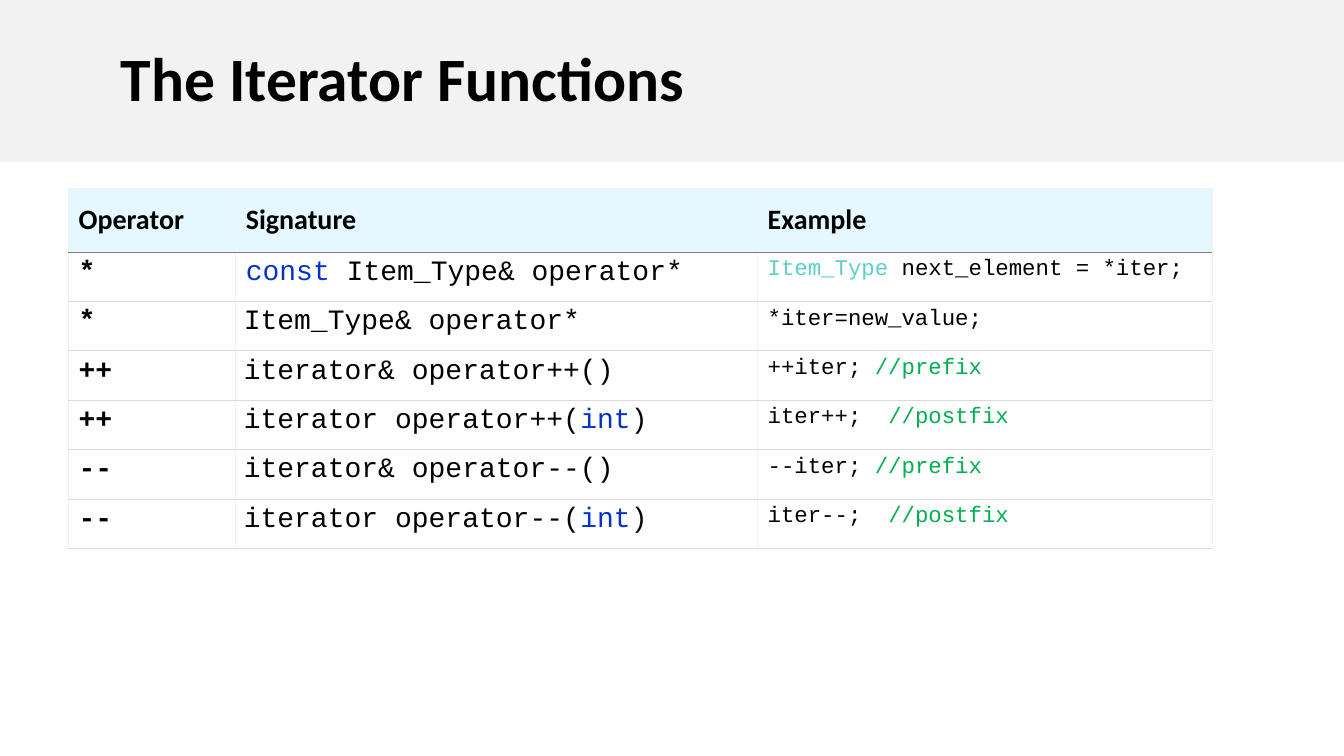
from lxml.etree import SubElement as Sub
from pptx import Presentation as Deck
from pptx.dml.color import RGBColor as RGB
from pptx.enum.shapes import MSO_SHAPE as Kind
from pptx.enum.text import MSO_ANCHOR as Anchor, PP_ALIGN as Align
from pptx.oxml.ns import qn
from pptx.util import Inches, Pt

BLACK = RGB(0, 0, 0)
WHITE = RGB(255, 255, 255)
BLUE = RGB(0x00, 0x33, 0xCC)
TEAL = RGB(0x5C, 0xD0, 0xCD)
GREEN = RGB(0x00, 0xB0, 0x50)
PALE = RGB(0xE5, 0xF8, 0xFF)
MIST = RGB(0xF2, 0xF2, 0xF2)
SILVER = RGB(0xD9, 0xD9, 0xD9)
GRAY = RGB(0x7F, 0x7F, 0x7F)

TITLE = {"name": "Calibri", "size": Pt(44), "bold": True}
HEAD = {"name": "Calibri", "size": Pt(20), "bold": True}
SIGN = {"name": "Courier New", "size": Pt(20), "bold": True}
CODE = {"name": "Courier New", "size": Pt(20), "bold": False}
SAMPLE = {"name": "Courier New", "size": Pt(16), "bold": False}

WIDTHS = (1.66, 5.18, 4.51)
HEADS = ("Operator", "Signature", "Example")
ROWS = (
    ("*", [("const", BLUE), " Item_Type& operator*"],
     [("Item_Type", TEAL), " next_element = *iter;"]),
    ("*", ["Item_Type& operator*"], ["*iter=new_value;"]),
    ("++", ["iterator& operator++()"], ["++iter; ", ("//prefix", GREEN)]),
    ("++", ["iterator operator++(", ("int", BLUE), ")"],
     ["iter++;  ", ("//postfix", GREEN)]),
    ("--", ["iterator& operator--()"], ["--iter; ", ("//prefix", GREEN)]),
    ("--", ["iterator operator--(", ("int", BLUE), ")"],
     ["iter--;  ", ("//postfix", GREEN)]),
)


def write(frame, parts, style):
    para = frame.paragraphs[0]
    para.alignment = Align.LEFT
    for part in parts:
        text, color = part if isinstance(part, tuple) else (part, BLACK)
        run = para.add_run()
        run.text = text
        for key, value in style.items():
            setattr(run.font, key, value)
        run.font.color.rgb = color
    return para


def edge(cell, top, base):
    props = cell._tc.get_or_add_tcPr()
    for side, color in zip("LRTB", (MIST, MIST, top, base)):
        line = Sub(props, qn("a:ln" + side), w=str(Pt(0.45)))
        fill = Sub(line, qn("a:solidFill"))
        Sub(fill, qn("a:srgbClr"), val=str(color))


def fill_cell(cell, parts, style, fill, top, base):
    edge(cell, top, base)
    cell.fill.solid()
    cell.fill.fore_color.rgb = fill
    write(cell.text_frame, parts, style)


def add_title(slide, text):
    band = slide.shapes.add_shape(
        Kind.RECTANGLE, 0, 0, Inches(13.34), Inches(1.61))
    band.shadow.inherit = False
    band.fill.solid()
    band.fill.fore_color.rgb = MIST
    band.line.fill.background()
    frame = band.text_frame
    frame.word_wrap = True
    frame.vertical_anchor = Anchor.MIDDLE
    frame.margin_left = Inches(1.2)
    write(frame, [text], TITLE).line_spacing = 0.9


def add_grid(slide):
    count = len(ROWS) + 1
    grid = slide.shapes.add_table(
        count, len(WIDTHS), Inches(0.68), Inches(1.87),
        Inches(sum(WIDTHS)), Inches(3.55)).table
    grid.horz_banding = False
    for col, width in zip(grid.columns, WIDTHS):
        col.width = Inches(width)
    for row in grid.rows:
        row.height = Inches(0.49)
    grid.rows[0].height = Inches(0.63)

    for col, head in enumerate(HEADS):
        cell = grid.cell(0, col)
        fill_cell(cell, [head], HEAD, PALE, MIST, GRAY)
        cell.vertical_anchor = Anchor.MIDDLE
    for num, (sign, code, sample) in enumerate(ROWS, 1):
        top = GRAY if num == 1 else SILVER
        cells = zip(([sign], code, sample), (SIGN, CODE, SAMPLE))
        for col, (parts, style) in enumerate(cells):
            fill_cell(grid.cell(num, col), parts, style, WHITE, top, SILVER)
        if num > 1:
            grid.cell(num, 1).margin_left = Inches(0.08)


def main():
    deck = Deck()
    deck.slide_width = Inches(13.34)
    deck.slide_height = Inches(7.5)
    slide = deck.slides.add_slide(deck.slide_layouts[6])
    add_title(slide, "The Iterator Functions")
    add_grid(slide)
    deck.save("out.pptx")


if __name__ == "__main__":
    main()
